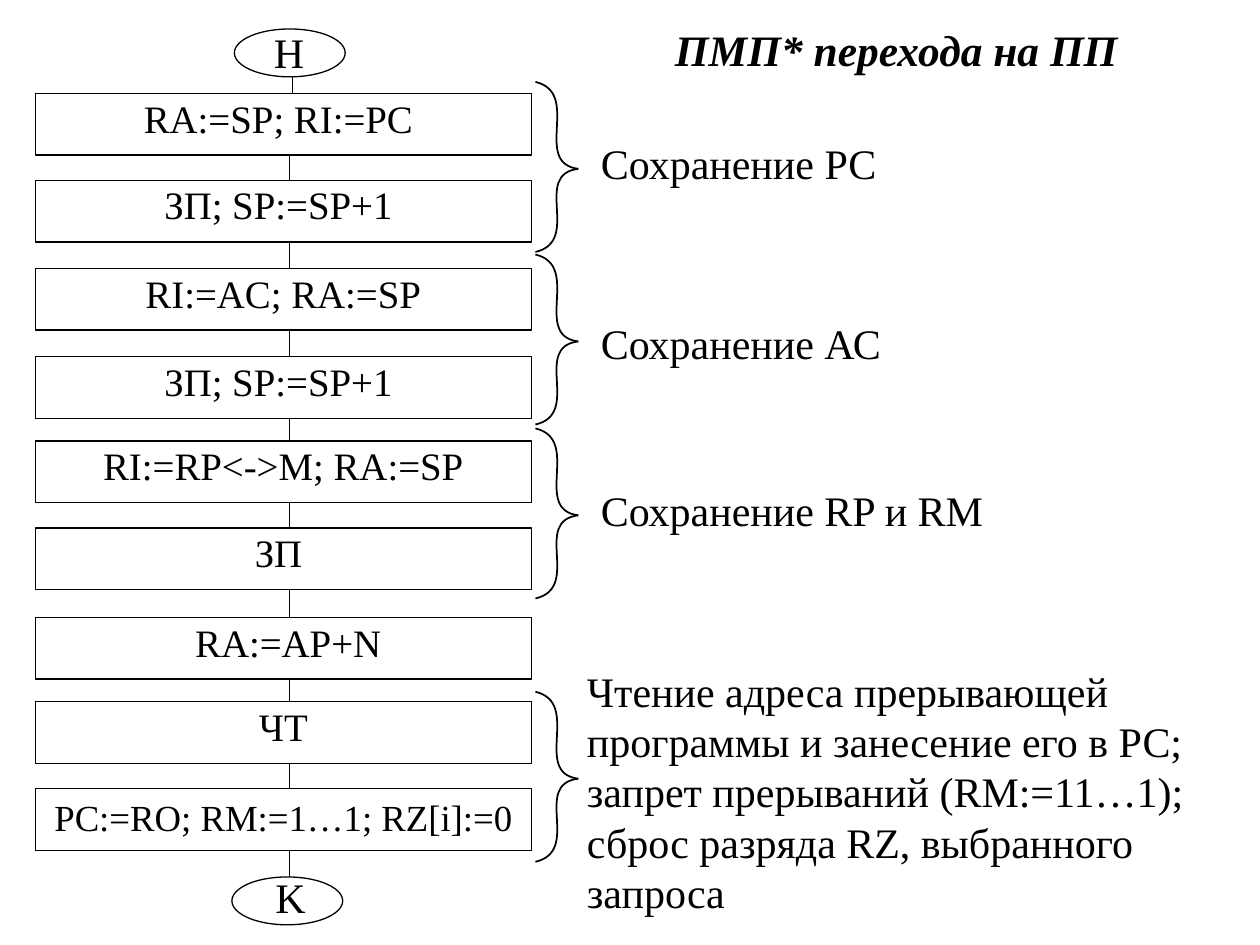
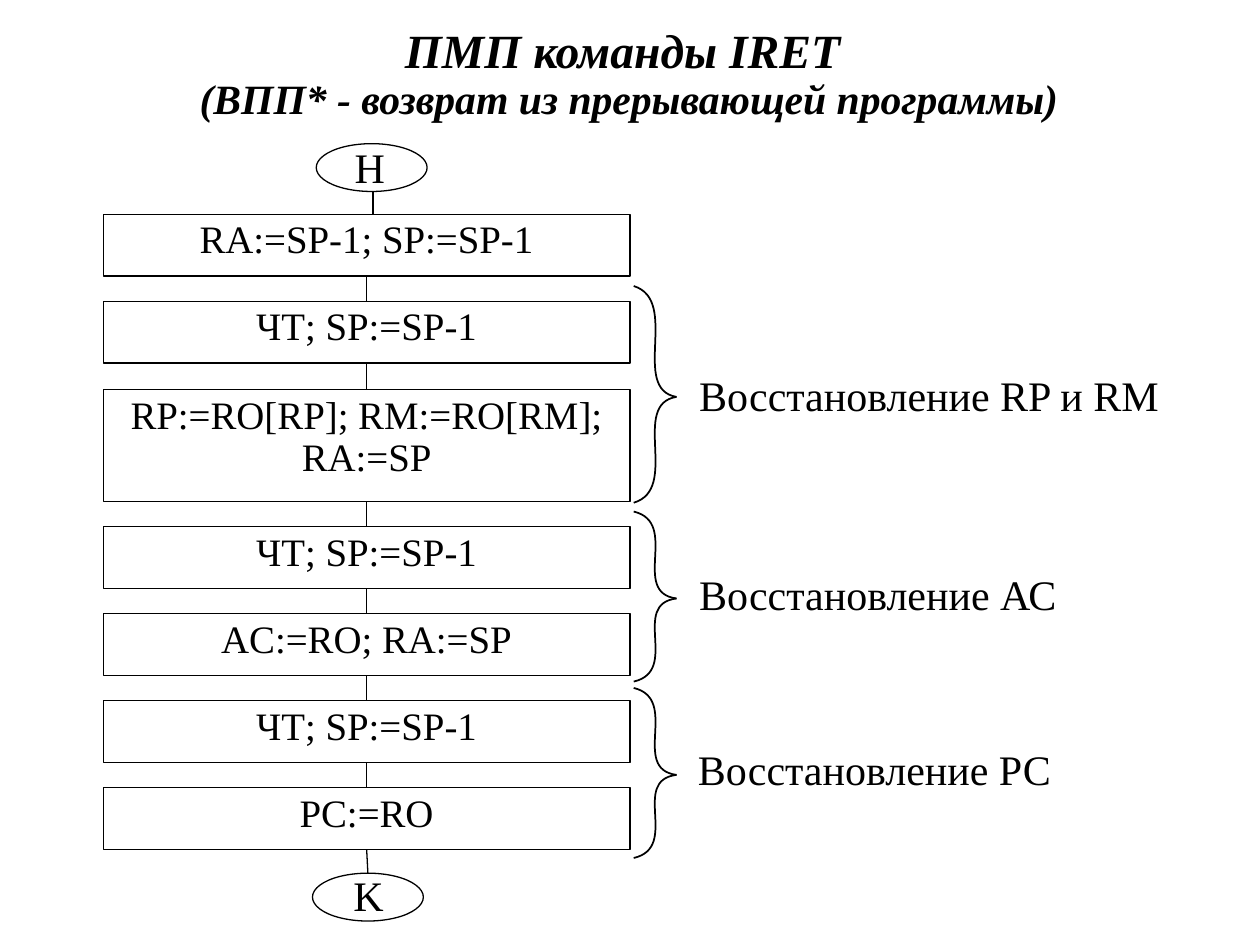
"""Build two flowchart slides on entering and leaving an interrupt routine."""
from lxml import etree
from pptx import Presentation
from pptx import util as u
from pptx.dml.color import RGBColor
from pptx.enum import shapes, text
from pptx.oxml.ns import qn

BLACK = RGBColor(0, 0, 0)
FONT = "Times New Roman"
LEFT, MID = text.PP_ALIGN.LEFT, text.PP_ALIGN.CENTER
TOP, HALF = text.MSO_ANCHOR.TOP, text.MSO_ANCHOR.MIDDLE
HIGH = 0.49
OVAL, MARK = (0.88, 0.38), (1.17, 0.52)
SAVE = "ЗП; SP:=SP+1 "
READ = "ЧТ; SP:=SP-1"

PAGES = [
    dict(
        title=[("ПМП* перехода на ПП", 24.8)],
        place=(4.69, 0.16, 4.85, 0.54), space=0.8,
        ends=[("Н", (1.86, 0.23), (1.71, 0.16)),
              ("K", (1.84, 6.96), (1.72, 6.87))],
        left=0.28, wide=3.94, stem=2.32, spine=2.3,
        steps=[(0.74, "RA:=SP; RI:=PC "), (1.43, SAVE),
               (2.13, "RI:=AC; RA:=SP"), (2.83, SAVE),
               (3.5, "RI:=RP<->M; RA:=SP"), (4.19, "ЗП "),
               (4.9, " RA:=AP+N"), (5.57, "ЧТ"),
               (6.26, "PC:=RO; RM:=1…1; RZ[i]:=0")],
        edge=4.25,
        braces=[(0.65, 1.34, 2), (2.02, 2.71, 3.37),
                (3.4, 4.09, 4.75), (5.49, 6.18, 6.84)],
        notes=[(4.67, 1.04, 4.62, 0.5, ["Сохранение РС"]),
               (4.67, 2.47, 4.57, 0.5, ["Сохранение АС"]),
               (4.67, 3.8, 4.57, 0.5, ["Сохранение RP и RM"]),
               (4.56, 5.23, 5.44, 2.16,
                ["Чтение адреса прерывающей программы и занесение его в РС;",
                 "запрет прерываний (RM:=11…1);",
                 "сброс разряда RZ, выбранного запроса"])],
    ),
    dict(
        title=[("ПМП команды IRET ", 27.2),
               ("(ВПП* - возврат из прерывающей программы)", 23.8)],
        place=(0.25, 0.09, 9.48, 1.02), space=0.9,
        ends=[("Н", (2.51, 1.14), (2.35, 1.07)),
              ("K", (2.48, 6.93), (2.34, 6.85))],
        left=0.82, wide=4.18, stem=2.96, spine=2.92,
        steps=[(1.7, "RA:=SP-1; SP:=SP-1"), (2.39, READ),
               (3.09, "RP:=RO[RP]; RM:=RO[RM]; RA:=SP"), (4.18, READ),
               (4.87, "AC:=RO; RA:=SP"), (5.56, READ), (6.25, "PC:=RO")],
        edge=5.03,
        braces=[(2.27, 3.15, 3.99), (4.06, 4.75, 5.41), (5.46, 6.15, 6.81)],
        notes=[(5.45, 2.88, 4.08, 0.5, ["Восстановление RP и RM"]),
               (5.45, 4.46, 4.03, 0.5, ["Восстановление АС"]),
               (5.44, 5.85, 4.21, 0.64, ["Восстановление РС"])],
    ),
]


def write(frame, rows, align=LEFT, anchor=TOP, space=1.0, bold=False, split=True):
    """Fill a frame with (text, size) rows, as paragraphs or as broken lines."""
    frame.word_wrap = True
    frame.auto_size = text.MSO_AUTO_SIZE.NONE
    frame.vertical_anchor = anchor
    para = frame.paragraphs[0]
    for i, (words, size) in enumerate(rows):
        if i and split:
            para = frame.add_paragraph()
        elif i:
            para.add_line_break()
            turn = para._p.findall(qn("a:br"))[-1]
            etree.SubElement(turn, qn("a:rPr"), sz=str(round(rows[i - 1][1] * 100)))
        para.alignment, para.line_spacing = align, space
        run = para.add_run()
        run.text = words
        font = run.font
        font.name, font.size = FONT, u.Pt(size)
        font.bold = font.italic = bold
        font.color.rgb = BLACK


def draw(shape, width=0.75):
    """Give a shape or connector a plain black outline."""
    shape.line.color.rgb = BLACK
    shape.line.width = u.Pt(width)
    if hasattr(shape, "fill"):
        shape.fill.background()
        shape.shadow.inherit = False
    else:
        etree.SubElement(shape._element.spPr, qn("a:effectLst"))
    return shape


deck = Presentation()
deck.slide_width, deck.slide_height = u.Inches(10), u.Inches(7.5)

for page in PAGES:
    slide = deck.slides.add_slide(deck.slide_layouts[5])
    tree = slide.shapes

    head = tree.title
    head.left, head.top, head.width, head.height = map(u.Inches, page["place"])
    write(head.text_frame, page["title"], MID, HALF, page["space"],
          bold=True, split=False)

    ovals = []
    for mark, spot, place in page["ends"]:
        ovals.append(draw(tree.add_shape(
            shapes.MSO_SHAPE.OVAL, *map(u.Inches, spot + OVAL))))
        label = tree.add_textbox(*map(u.Inches, place + MARK))
        write(label.text_frame, [(mark, 24)], MID)

    boxes = []
    for y, step in page["steps"]:
        tall = 0.89 if step.startswith("RP:=") else HIGH
        small = step.startswith("PC:=RO;")
        box = draw(tree.add_shape(
            shapes.MSO_SHAPE.RECTANGLE, u.Inches(page["left"]), u.Inches(y),
            u.Inches(page["wide"]), u.Inches(tall)))
        write(box.text_frame, [(step, 21 if small else 22.2)], MID,
              space=1.0 if small else 0.9)
        boxes.append(box)

    chain = [ovals[0], *boxes, ovals[1]]
    joined = abs(page["left"] + page["wide"] / 2 - page["spine"]) < 0.02
    for i, (above, below) in enumerate(zip(chain, chain[1:])):
        x = u.Inches(page["spine"] if i else page["stem"])
        link = draw(tree.add_connector(
            shapes.MSO_CONNECTOR.STRAIGHT,
            x, above.top + above.height, x, below.top))
        if i and joined:
            link.begin_connect(above, 2)
            link.end_connect(below, 0)

    x = page["edge"]
    for top, mid, low in page["braces"]:
        group = tree.add_group_shape()
        for tip in (top, low):
            reach = tip - mid
            start, *rest = [
                (u.Inches(px), u.Inches(py)) for px, py in (
                    (x + 0.34, mid), (x - 0.03, mid + 0.07 * reach),
                    (x + 0.37, mid + 0.87 * reach), (x, tip))]
            pen = group.shapes.build_freeform(*start)
            pen.add_line_segments(rest, close=False)
            half = draw(pen.convert_to_shape(), 1)
            route = half._element.find(".//" + qn("a:path"))
            curve = etree.SubElement(route, qn("a:cubicBezTo"))
            for leg in route.findall(qn("a:lnTo")):
                curve.append(leg[0])
                route.remove(leg)

    for *place, lines in page["notes"]:
        note = tree.add_textbox(*map(u.Inches, place))
        write(note.text_frame, [(line, 24) for line in lines])

deck.save("out.pptx")
